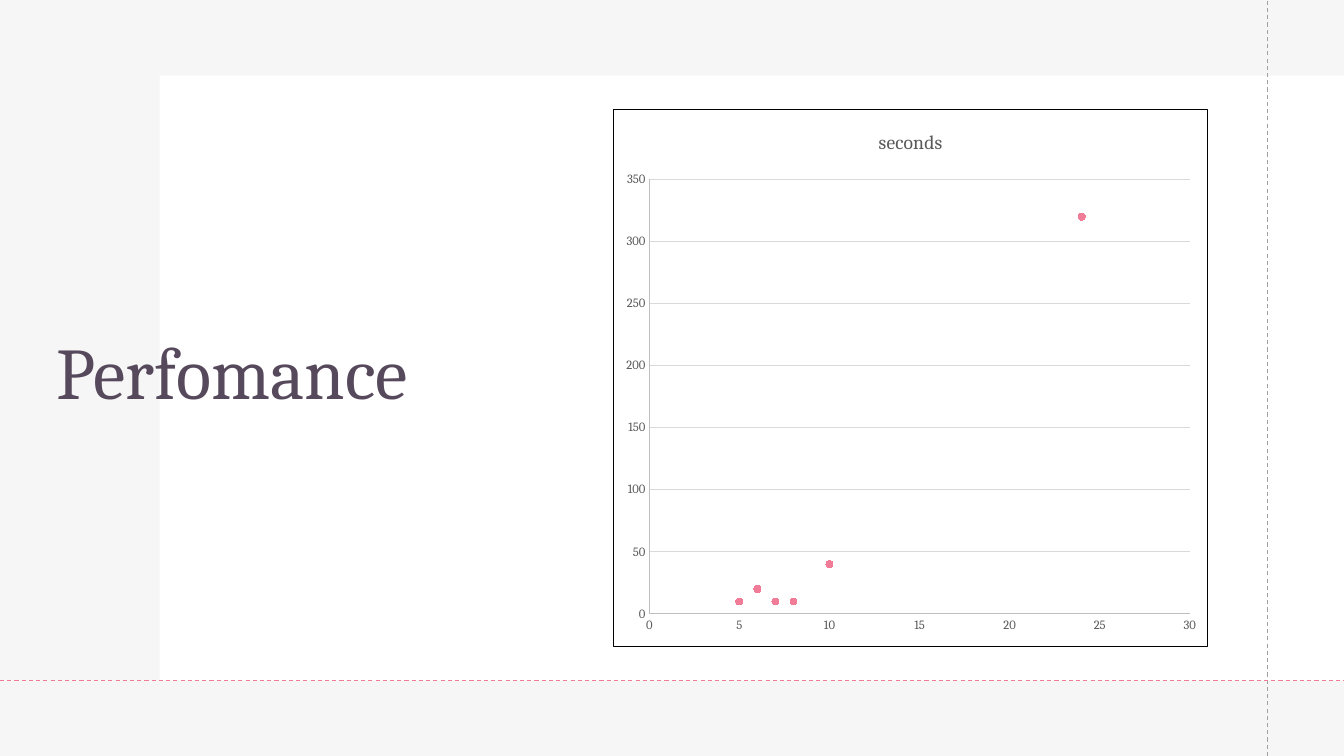
from lxml import etree
from pptx import Presentation
from pptx.chart.data import XyChartData
from pptx.dml.color import RGBColor
from pptx.enum.chart import XL_CHART_TYPE as CT, XL_MARKER_STYLE as Marker, XL_TICK_MARK as Tick
from pptx.enum.dml import MSO_LINE
from pptx.enum.shapes import MSO_CONNECTOR, MSO_SHAPE
from pptx.enum.text import MSO_ANCHOR
from pptx.oxml import parse_xml
from pptx.oxml.ns import nsdecls, qn
from pptx.util import Pt

TITLE = "Perfomance"
SERIES = "seconds"
POINTS = [(8, 10), (5, 10), (6, 20), (10, 40), (24, 320), (7, 10)]
X_SCALE = (30, 5)  # maximum, step
Y_SCALE = (350, 50)

THEME = {
    "font": "Cambria",
    "white": "FFFFFF", "backdrop": "E7E6E6", "title": "57495C", "accent": "F07C98",
    "guide": "A0A0A0", "label": "595959", "axis": "BFBFBF", "grid": "D9D9D9", "frame": "000000",
    "title_size": 52, "chart_title_size": 14, "label_size": 9, "line": 0.75, "marker": 5,
}

W, H = 960, 540
PANEL_LEFT, PANEL_TOP, PANEL_H = 114, 54, 432
GUIDE_X, GUIDE_Y = 905.5, PANEL_TOP + PANEL_H
TITLE_BOX = (33, 80, 383, 377)
CHART_BOX = (438, 78, 425, 384)
PLOT = {"x": 0.06, "y": 0.13, "w": 0.91, "h": 0.81}  # shares of the chart box


def rgb(name):
    return RGBColor.from_string(THEME[name])


def style_font(font, size, color):
    font.name, font.size, font.bold = THEME["font"], Pt(THEME[size]), False
    font.color.rgb = rgb(color)


def style_line(line, color):
    line.color.rgb = rgb(color)
    line.width = Pt(THEME["line"])


def add_panel(s, box, color, opacity=100):
    sp = s.shapes.add_shape(MSO_SHAPE.RECTANGLE, *map(Pt, box))
    sp.shadow.inherit = False
    sp.fill.solid()
    sp.fill.fore_color.rgb = rgb(color)
    sp.line.fill.background()
    if opacity < 100:
        clr = next(sp._element.spPr.iter(qn("a:srgbClr")))
        etree.SubElement(clr, qn("a:alpha")).set("val", str(opacity * 1000))


def add_guide(s, start, end, color):
    cn = s.shapes.add_connector(MSO_CONNECTOR.STRAIGHT, *map(Pt, start + end))
    style_line(cn.line, color)
    cn.line.dash_style = MSO_LINE.DASH
    etree.SubElement(cn._element.spPr, qn("a:effectLst"))


def add_title(s):
    tf = s.shapes.add_textbox(*map(Pt, TITLE_BOX)).text_frame
    tf.word_wrap = True
    tf.vertical_anchor = MSO_ANCHOR.MIDDLE
    p = tf.paragraphs[0]
    p.line_spacing = 0.9
    r = p.add_run()
    r.text = TITLE
    style_font(r.font, "title_size", "title")


def style_axis(axis, scale):
    axis.minimum_scale = 0
    axis.maximum_scale, axis.major_unit = scale
    axis.major_tick_mark = axis.minor_tick_mark = Tick.NONE
    style_font(axis.tick_labels.font, "label_size", "label")
    style_line(axis.format.line, "axis")


def frame_chart(chart):
    """Give the chart area its fill and border, and the plot its place."""
    space = chart._chartSpace
    space.find(qn("c:chart")).addnext(parse_xml(
        f'<c:spPr {nsdecls("c", "a")}>'
        f'<a:solidFill><a:srgbClr val="{THEME["white"]}"/></a:solidFill>'
        f'<a:ln w="{Pt(THEME["line"])}"><a:solidFill><a:srgbClr val="{THEME["frame"]}"/>'
        '</a:solidFill></a:ln></c:spPr>'))
    plot = next(space.iter(qn("c:plotArea")))
    for old in plot.findall(qn("c:layout")):
        plot.remove(old)
    sizes = "".join(f'<c:{k} val="{v}"/>' for k, v in PLOT.items())
    plot.insert(0, parse_xml(
        f'<c:layout {nsdecls("c")}><c:manualLayout><c:layoutTarget val="inner"/>'
        f'<c:xMode val="edge"/><c:yMode val="edge"/>{sizes}</c:manualLayout></c:layout>'))


def add_scatter(s):
    data = XyChartData()
    seconds = data.add_series(SERIES)
    for x, y in POINTS:
        seconds.add_data_point(x, y)
    chart = s.shapes.add_chart(CT.XY_SCATTER, *map(Pt, CHART_BOX), data).chart
    chart.has_legend = False
    style_font(chart.font, "label_size", "label")

    chart.has_title = True
    r = chart.chart_title.text_frame.paragraphs[0].add_run()
    r.text = SERIES
    style_font(r.font, "chart_title_size", "label")
    chart.chart_title.include_in_layout = False

    style_axis(chart.category_axis, X_SCALE)
    style_axis(chart.value_axis, Y_SCALE)
    chart.category_axis.has_major_gridlines = False
    chart.value_axis.has_major_gridlines = True
    style_line(chart.value_axis.major_gridlines.format.line, "grid")

    chart.plots[0].vary_by_categories = False
    dots = chart.plots[0].series[0]
    dots.smooth = False
    dots.format.line.fill.background()
    dots.marker.style, dots.marker.size = Marker.CIRCLE, THEME["marker"]
    dots.marker.format.fill.solid()
    dots.marker.format.fill.fore_color.rgb = rgb("accent")
    style_line(dots.marker.format.line, "accent")
    frame_chart(chart)


def main():
    prs = Presentation()
    prs.slide_width, prs.slide_height = Pt(W), Pt(H)
    s = prs.slides.add_slide(prs.slide_layouts[6])
    add_panel(s, (0, 0, W, H), "backdrop", opacity=35)
    add_panel(s, (PANEL_LEFT, PANEL_TOP, W - PANEL_LEFT, PANEL_H), "white")
    add_title(s)
    add_guide(s, (GUIDE_X, H), (GUIDE_X, 0), "guide")
    add_guide(s, (0, GUIDE_Y), (W, GUIDE_Y), "accent")
    add_scatter(s)
    prs.save("out.pptx")


if __name__ == "__main__":
    main()
